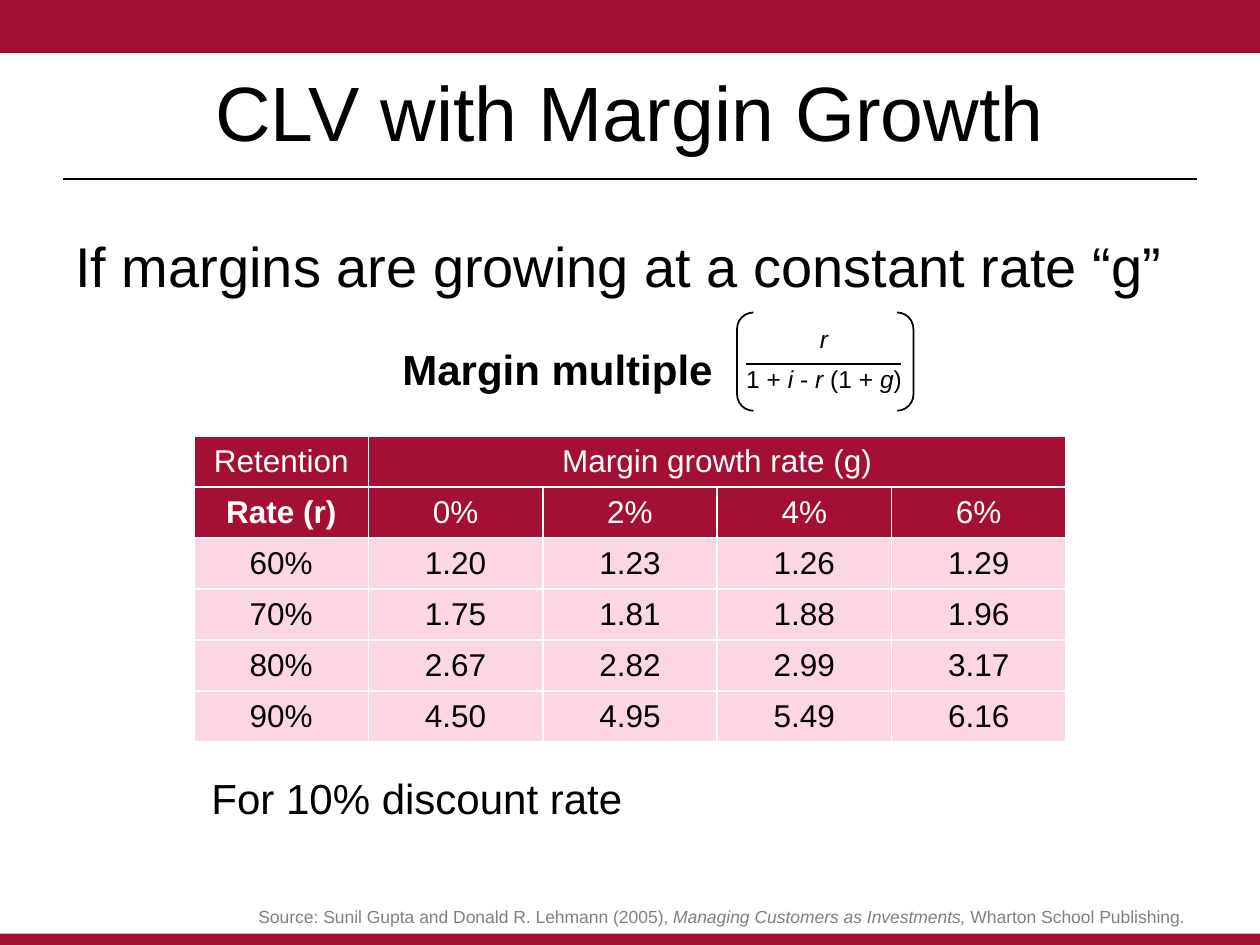
from dataclasses import dataclass

from lxml.etree import SubElement
from pptx import Presentation
from pptx.dml.color import RGBColor
from pptx.enum.shapes import MSO_CONNECTOR, MSO_SHAPE
from pptx.enum.text import MSO_ANCHOR, PP_ALIGN
from pptx.oxml.ns import qn
from pptx.util import Inches, Pt


@dataclass(frozen=True)
class Theme:
    """Colours and type sizes of the slide."""
    font: str = "Arial"
    crimson: str = "A41034"
    pink: str = "FCD7E2"
    black: str = "000000"
    white: str = "FFFFFF"
    grey: str = "808080"
    title: int = 44
    lead: int = 32
    label: int = 24
    cell: int = 18
    formula: int = 14
    source: int = 10


THEME = Theme()


def write_text(frame, paragraphs, size, color=THEME.black, align=PP_ALIGN.LEFT,
               anchor=MSO_ANCHOR.TOP, bold=False, gap=0):
    """Fill a frame with paragraphs of (text, italic) runs."""
    frame.vertical_anchor = anchor
    for index, runs in enumerate(paragraphs):
        paragraph = frame.paragraphs[0] if index == 0 else frame.add_paragraph()
        paragraph.alignment = align
        paragraph.space_before = Pt(gap if index else 0)
        for wording, italic in runs:
            run = paragraph.add_run()
            run.text = wording
            run.font.name = THEME.font
            run.font.size = Pt(size)
            run.font.bold = bold
            run.font.italic = italic
            run.font.color.rgb = RGBColor.from_string(color)


def plain(wording):
    """Return one upright paragraph."""
    return [[(wording, False)]]


class SlideBuilder:
    """Draws styled elements on the current slide."""

    def __init__(self, slide, theme):
        self.slide = slide
        self.theme = theme

    def title(self, wording, left, top, width, height):
        """Place and format the title placeholder."""
        heading = self.slide.shapes.title
        heading.left, heading.top = Inches(left), Inches(top)
        heading.width, heading.height = Inches(width), Inches(height)
        write_text(heading.text_frame, plain(wording), self.theme.title,
                   align=PP_ALIGN.CENTER, anchor=MSO_ANCHOR.MIDDLE)

    def text(self, paragraphs, left, top, width, height, wrap=True, inset=True, **style):
        """Add a text box."""
        frame = self.slide.shapes.add_textbox(
            Inches(left), Inches(top), Inches(width), Inches(height)).text_frame
        frame.word_wrap = wrap
        if not inset:
            frame.margin_left = frame.margin_right = 0
            frame.margin_top = frame.margin_bottom = 0
        write_text(frame, paragraphs, **style)

    def bar(self, top, height):
        """Add a full-width crimson bar."""
        band = self.slide.shapes.add_shape(
            MSO_SHAPE.RECTANGLE, 0, Inches(top), Inches(10), Inches(height))
        band.shadow.inherit = False
        band.fill.solid()
        band.fill.fore_color.rgb = RGBColor.from_string(self.theme.crimson)
        band.line.fill.background()

    def rule(self, left, right, y, weight):
        """Add a horizontal line."""
        line = self.slide.shapes.add_connector(
            MSO_CONNECTOR.STRAIGHT, Inches(left), Inches(y), Inches(right), Inches(y))
        line.line.color.rgb = RGBColor.from_string(self.theme.black)
        line.line.width = Pt(weight)
        SubElement(line._element.spPr, qn("a:effectLst"))

    def brackets(self, left, top, width, height):
        """Add a pair of round brackets."""
        pair = self.slide.shapes.add_shape(
            MSO_SHAPE.DOUBLE_BRACKET, Inches(left), Inches(top), Inches(width), Inches(height))
        pair.shadow.inherit = False
        pair.fill.background()
        pair.line.color.rgb = RGBColor.from_string(self.theme.black)
        pair.line.width = Pt(1)

    def border(self, cell):
        """Give a cell thin white borders, ahead of its fill."""
        properties = cell._tc.get_or_add_tcPr()
        for side in ("lnL", "lnR", "lnT", "lnB"):
            edge = SubElement(properties, qn(f"a:{side}"), w=str(Pt(1)))
            fill = SubElement(edge, qn("a:solidFill"))
            SubElement(fill, qn("a:srgbClr"), val=self.theme.white)

    def table(self, rows, header_rows, left, top, width, height):
        """Add a table whose header spans every column after the first."""
        grid = self.slide.shapes.add_table(
            len(rows), len(rows[-1]), Inches(left), Inches(top),
            Inches(width), Inches(height)).table
        grid.first_row = grid.horz_banding = False
        for r, row in enumerate(rows):
            header = r < header_rows
            for c in range(len(rows[-1])):
                cell = grid.cell(r, c)
                self.border(cell)
                cell.fill.solid()
                cell.fill.fore_color.rgb = RGBColor.from_string(
                    self.theme.crimson if header else self.theme.pink)
                cell.vertical_anchor = MSO_ANCHOR.MIDDLE
                if c < len(row):
                    write_text(cell.text_frame, plain(row[c]), self.theme.cell,
                               color=self.theme.white if header else self.theme.black,
                               align=PP_ALIGN.CENTER, anchor=None,
                               bold=row[c] == "Rate (r)")
        grid.cell(0, 1).merge(grid.cell(0, len(rows[-1]) - 1))


def main():
    """Build the margin growth slide."""
    presentation = Presentation()
    presentation.slide_width, presentation.slide_height = Inches(10), Inches(7.5)
    slide = presentation.slides.add_slide(presentation.slide_layouts[5])
    builder = SlideBuilder(slide, THEME)

    builder.bar(0, 0.42)
    builder.bar(7.41, 0.09)
    builder.rule(0.5, 9.5, 1.42, 1.25)
    builder.title("CLV with Margin Growth", 0.5, 0.25, 9, 1.25)
    citation = [[("Source: Sunil Gupta and Donald R. Lehmann (2005), ", False),
                 ("Managing Customers as Investments, ", True),
                 ("Wharton School Publishing.", False)]]
    builder.text(citation, 0.5, 7.11, 9, 0.3, wrap=False, size=THEME.source,
                 color=THEME.grey, align=PP_ALIGN.RIGHT, anchor=MSO_ANCHOR.BOTTOM)
    builder.text(plain("If margins are growing at a constant rate “g”"),
                 0.5, 1.79, 9, 0.64, size=THEME.lead)

    builder.text(plain("Margin multiple"), 3.01, 2.68, 2.83, 0.43,
                 size=THEME.label, align=PP_ALIGN.CENTER, bold=True)
    fraction = [[("r", True)],
                [("1 + ", False), ("i", True), (" - ", False), ("r", True),
                 (" (1 + ", False), ("g", True), (")", False)]]
    builder.text(fraction, 5.92, 2.57, 1.24, 0.66, wrap=False, inset=False,
                 size=THEME.formula, align=PP_ALIGN.CENTER, gap=6)
    builder.rule(5.92, 7.15, 2.89, 1)
    builder.brackets(5.85, 2.48, 1.4, 0.78)

    multiples = [
        ["Retention", "Margin growth rate (g)"],
        ["Rate (r)", "0%", "2%", "4%", "6%"],
        ["60%", "1.20", "1.23", "1.26", "1.29"],
        ["70%", "1.75", "1.81", "1.88", "1.96"],
        ["80%", "2.67", "2.82", "2.99", "3.17"],
        ["90%", "4.50", "4.95", "5.49", "6.16"],
    ]
    builder.table(multiples, 2, 1.54, 3.46, 6.92, 2.43)
    builder.text(plain("For 10% discount rate"), 1.58, 6.08, 7.08, 0.44,
                 wrap=False, size=THEME.label)
    presentation.save("out.pptx")


if __name__ == "__main__":
    main()
